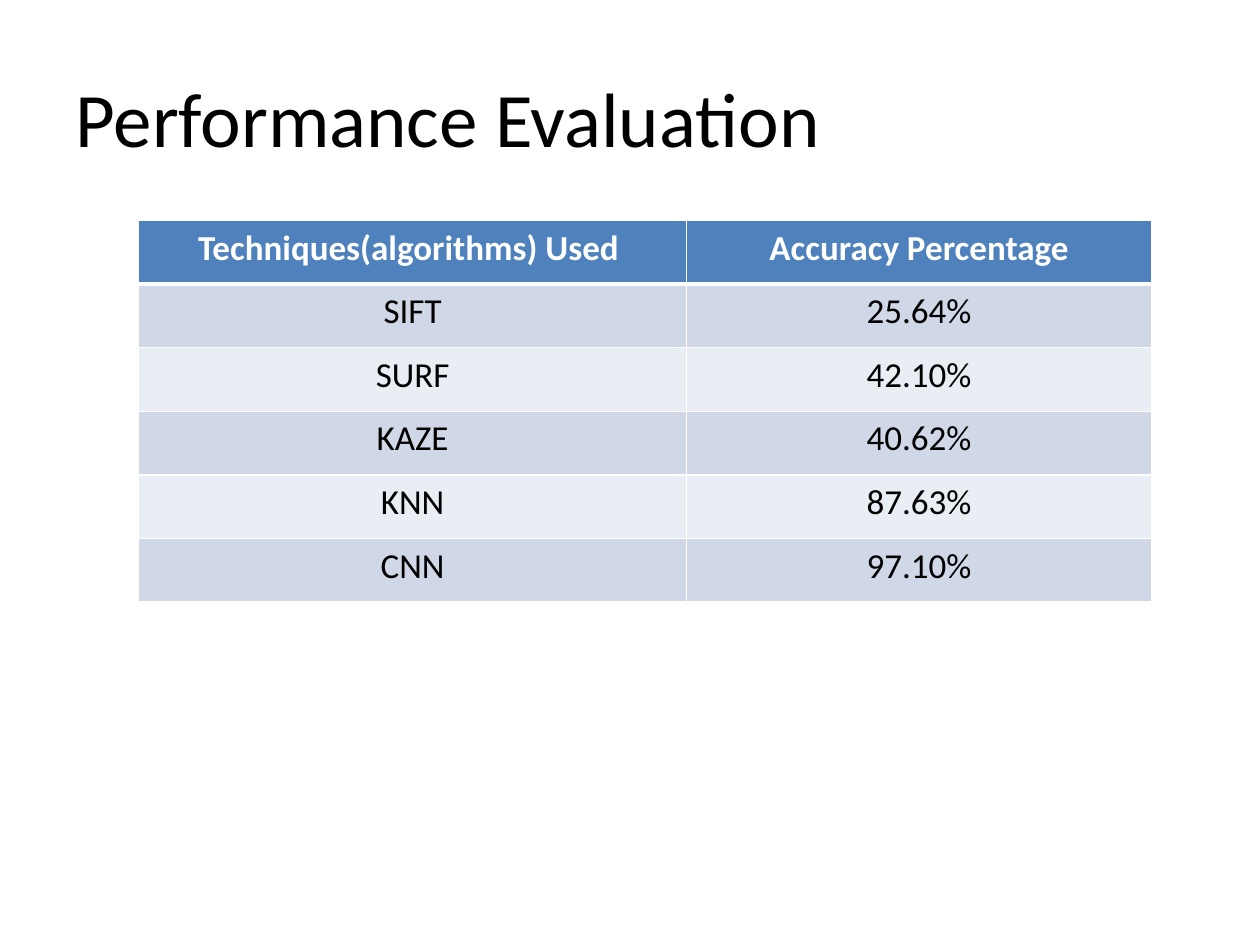
from dataclasses import dataclass

from lxml import etree
from pptx import Presentation
from pptx.dml.color import RGBColor
from pptx.enum.text import MSO_ANCHOR, PP_ALIGN
from pptx.oxml.ns import qn
from pptx.slide import Slide
from pptx.table import _Cell
from pptx.text.text import _Paragraph
from pptx.util import Inches, Pt

LEFT = PP_ALIGN.LEFT
CENTER = PP_ALIGN.CENTER
MIDDLE = MSO_ANCHOR.MIDDLE
FONT = "Calibri"
COLORS = {
    "text": "000000",
    "white": "FFFFFF",
    "header": "4F81BD",
    "odd": "D0D8E8",
    "even": "E9EDF4",
}
COLUMN_WIDTHS = (4.35, 3.69)
ROW_HEIGHT = 0.505
THIN, THICK = 1, 3


@dataclass(frozen=True)
class Result:
    technique: str
    accuracy: str


HEADER = Result("Techniques(algorithms) Used ", "Accuracy Percentage")
RESULTS = (
    Result("SIFT", "25.64%"),
    Result("SURF", "42.10%"),
    Result("KAZE", "40.62%"),
    Result("KNN", "87.63%"),
    Result("CNN", "97.10%"),
)


def add_run(paragraph: _Paragraph, text: str, size: int, color: str, bold: bool = False) -> None:
    run = paragraph.add_run()
    run.text = text
    run.font.name = FONT
    run.font.size = Pt(size)
    run.font.bold = bold
    run.font.color.rgb = RGBColor.from_string(COLORS[color])


def set_borders(cell: _Cell, top: int, bottom: int) -> None:
    properties = cell._tc.get_or_add_tcPr()
    widths = {"lnL": THIN, "lnR": THIN, "lnT": top, "lnB": bottom}
    for side, width in widths.items():
        line = etree.SubElement(properties, qn(f"a:{side}"), w=str(Pt(width)))
        fill = etree.SubElement(line, qn("a:solidFill"))
        etree.SubElement(fill, qn("a:srgbClr"), val=COLORS["white"])


def fill_cell(cell: _Cell, text: str, row: int) -> None:
    is_header = row == 0
    set_borders(cell, THICK if row == 1 else THIN, THICK if is_header else THIN)
    background = "header" if is_header else "odd" if row % 2 else "even"
    cell.fill.solid()
    cell.fill.fore_color.rgb = RGBColor.from_string(COLORS[background])
    paragraph = cell.text_frame.paragraphs[0]
    paragraph.alignment = CENTER
    add_run(paragraph, text, 20, "white" if is_header else "text", is_header)


def add_title(slide: Slide, text: str) -> None:
    title = slide.shapes.title
    title.left, title.top = Inches(0.5), Inches(0.3)
    title.width, title.height = Inches(9), Inches(1.25)
    title.text_frame.vertical_anchor = MIDDLE
    paragraph = title.text_frame.paragraphs[0]
    paragraph.alignment = LEFT
    add_run(paragraph, text, 44, "text")


def add_results_table(slide: Slide, results: tuple[Result, ...]) -> None:
    rows = (HEADER, *results)
    table = slide.shapes.add_table(
        len(rows), len(COLUMN_WIDTHS), Inches(1.1), Inches(1.75),
        Inches(sum(COLUMN_WIDTHS)), Inches(ROW_HEIGHT * len(rows)),
    ).table
    for column, width in zip(table.columns, COLUMN_WIDTHS):
        column.width = Inches(width)
    for row, result in enumerate(rows):
        table.rows[row].height = Inches(ROW_HEIGHT)
        for column, text in enumerate((result.technique, result.accuracy)):
            fill_cell(table.cell(row, column), text, row)


def main() -> None:
    presentation = Presentation()
    presentation.slide_width = Inches(10)
    presentation.slide_height = Inches(7.5)
    slide = presentation.slides.add_slide(presentation.slide_layouts[5])
    add_title(slide, "Performance Evaluation")
    add_results_table(slide, RESULTS)
    presentation.save("out.pptx")


if __name__ == "__main__":
    main()
